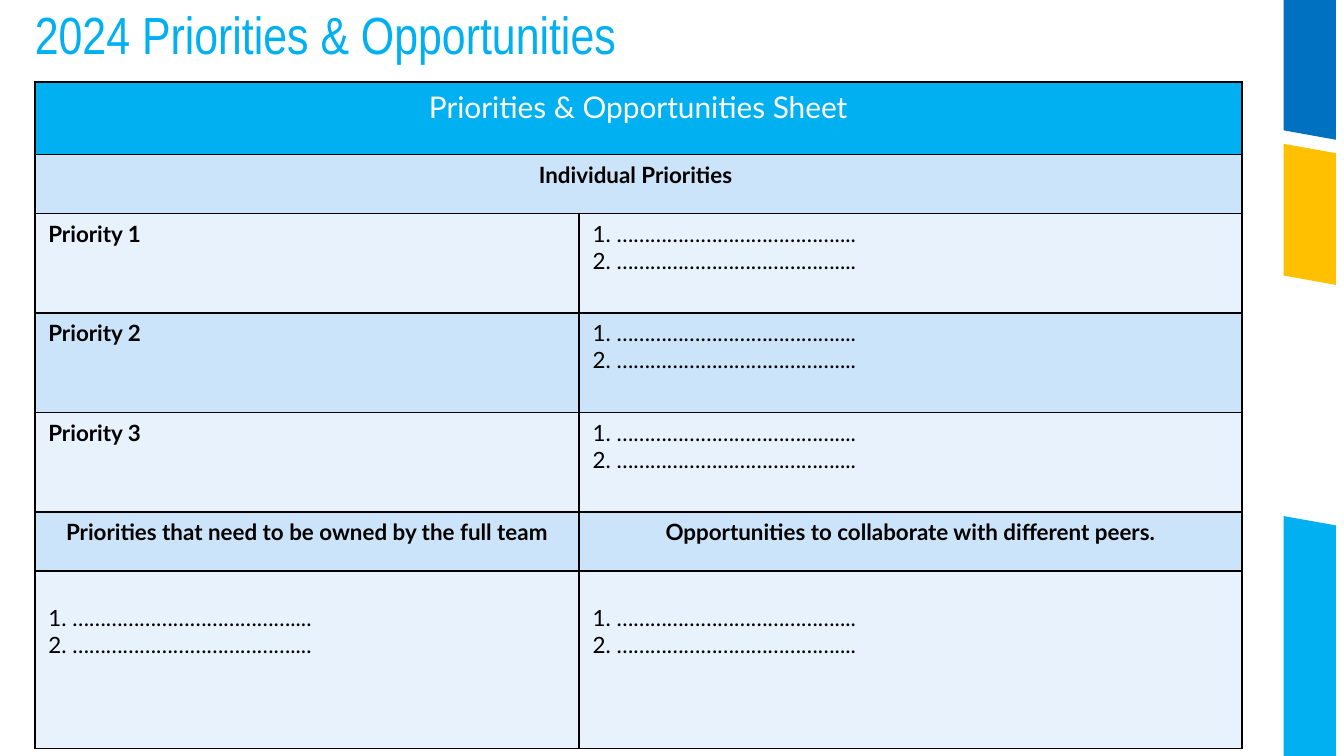
from dataclasses import dataclass

from lxml import etree
from pptx import Presentation
from pptx.dml.color import RGBColor
from pptx.enum import text as t
from pptx.oxml import ns
from pptx.util import Inches, Pt

SKY = RGBColor(0x00, 0xB0, 0xF0)
GOLD = RGBColor(0xFF, 0xC0, 0x00)
BLUE = RGBColor(0x00, 0x70, 0xC0)
PALE = RGBColor(0xE7, 0xF2, 0xFC)
LIGHT = RGBColor(0xCC, 0xE4, 0xF9)
WHITE = RGBColor(0xFF, 0xFF, 0xFF)
BLACK = RGBColor(0x00, 0x00, 0x00)

CENTER = t.PP_ALIGN.CENTER
LEFT = t.PP_ALIGN.LEFT
SLIDE_WIDTH = 10
SLIDE_HEIGHT = SLIDE_WIDTH * 9 / 16
BAND_LEFT, BAND_RIGHT = 9.55, 9.94
COLUMNS = (4.05, 4.93)
DOTS = "…………………………………...."
LINES = f"1. {DOTS}\n2. {DOTS}"


@dataclass(frozen=True)
class Band:
    color: RGBColor
    left_top: float
    right_top: float
    left_bottom: float
    right_bottom: float


@dataclass(frozen=True)
class Row:
    height: float
    fill: RGBColor
    texts: tuple[str, ...]
    bold: tuple[bool, ...] = (True, False)
    align: t.PP_ALIGN = LEFT
    size: float = 12
    color: RGBColor = BLACK
    margin_top: float = 0.05


BANDS = (
    Band(SKY, 3.84, 3.91, SLIDE_HEIGHT, SLIDE_HEIGHT),
    Band(GOLD, 1.07, 1.14, 2.05, 2.12),
    Band(BLUE, 0, 0, 0.97, 1.04),
)

ROWS = (
    Row(0.54, SKY, ("Priorities & Opportunities Sheet",), (False,), CENTER, 16, WHITE),
    Row(0.44, LIGHT, ("Individual Priorities ",), (True,), CENTER),
    *(Row(0.74, fill, (f"Priority {n}", LINES))
      for n, fill in enumerate((PALE, LIGHT, PALE), 1)),
    Row(0.44, LIGHT, ("Priorities that need to be owned by the full team",
                      "Opportunities to collaborate with different peers."),
        (True, True), CENTER),
    Row(1.32, PALE, (LINES, LINES), (False, False), margin_top=0.25),
)


def write(tf, content: str, *, size: float, color: RGBColor, font: str = "Lato",
          bold: bool = False, align: t.PP_ALIGN = LEFT, spacing: float = 1.0) -> None:
    for i, line in enumerate(content.split("\n")):
        p = tf.add_paragraph() if i else tf.paragraphs[0]
        p.alignment = align
        p.line_spacing = spacing
        r = p.add_run()
        r.text = line
        r.font.name = font
        r.font.size = Pt(size)
        r.font.bold = bold
        r.font.color.rgb = color


def draw_band(s, band: Band) -> None:
    corners = [(Inches(x), Inches(y)) for x, y in (
        (BAND_LEFT, band.left_top), (BAND_RIGHT, band.right_top),
        (BAND_RIGHT, band.right_bottom), (BAND_LEFT, band.left_bottom))]
    builder = s.shapes.build_freeform(*corners[0])
    builder.add_line_segments(corners[1:], close=True)
    sp = builder.convert_to_shape()
    sp.shadow.inherit = False
    sp.fill.solid()
    sp.fill.fore_color.rgb = band.color
    sp.line.fill.background()


def style_cell(cell, fill: RGBColor) -> None:
    tc_pr = cell._tc.get_or_add_tcPr()
    for side in ("lnL", "lnR", "lnT", "lnB"):
        ln = etree.SubElement(tc_pr, ns.qn(f"a:{side}"), w=str(int(Pt(1))))
        solid = etree.SubElement(ln, ns.qn("a:solidFill"))
        etree.SubElement(solid, ns.qn("a:srgbClr"), val=str(BLACK))
    cell.fill.solid()
    cell.fill.fore_color.rgb = fill


def draw_table(s, rows: tuple[Row, ...]) -> None:
    height = sum(row.height for row in rows)
    table = s.shapes.add_table(len(rows), len(COLUMNS), Inches(0.26), Inches(0.61),
                               Inches(sum(COLUMNS)), Inches(height)).table
    table.first_row = table.horz_banding = False
    for column, width in zip(table.columns, COLUMNS):
        column.width = Inches(width)
    for i, row in enumerate(rows):
        table.rows[i].height = Inches(row.height)
        for j in range(len(COLUMNS)):
            style_cell(table.cell(i, j), row.fill)
        if len(row.texts) == 1:
            table.cell(i, 0).merge(table.cell(i, len(COLUMNS) - 1))
        for j, (content, bold) in enumerate(zip(row.texts, row.bold)):
            cell = table.cell(i, j)
            cell.margin_top = Inches(row.margin_top)
            write(cell.text_frame, content, size=row.size, color=row.color,
                  bold=bold, align=row.align)


def draw_title(s, content: str) -> None:
    tf = s.shapes.add_textbox(Inches(0.26), Inches(-0.14),
                              Inches(6.54), Inches(0.63)).text_frame
    tf.word_wrap = True
    tf.vertical_anchor = t.MSO_ANCHOR.BOTTOM
    tf.margin_left = tf.margin_right = tf.margin_top = tf.margin_bottom = 0
    write(tf, content, size=28, color=SKY, font="Arial Narrow", spacing=0.9)


def main() -> None:
    prs = Presentation()
    prs.slide_width, prs.slide_height = Inches(SLIDE_WIDTH), Inches(SLIDE_HEIGHT)
    s = prs.slides.add_slide(prs.slide_layouts[6])
    for band in BANDS:
        draw_band(s, band)
    draw_title(s, "2024 Priorities & Opportunities")
    draw_table(s, ROWS)
    prs.save("out.pptx")


if __name__ == "__main__":
    main()
